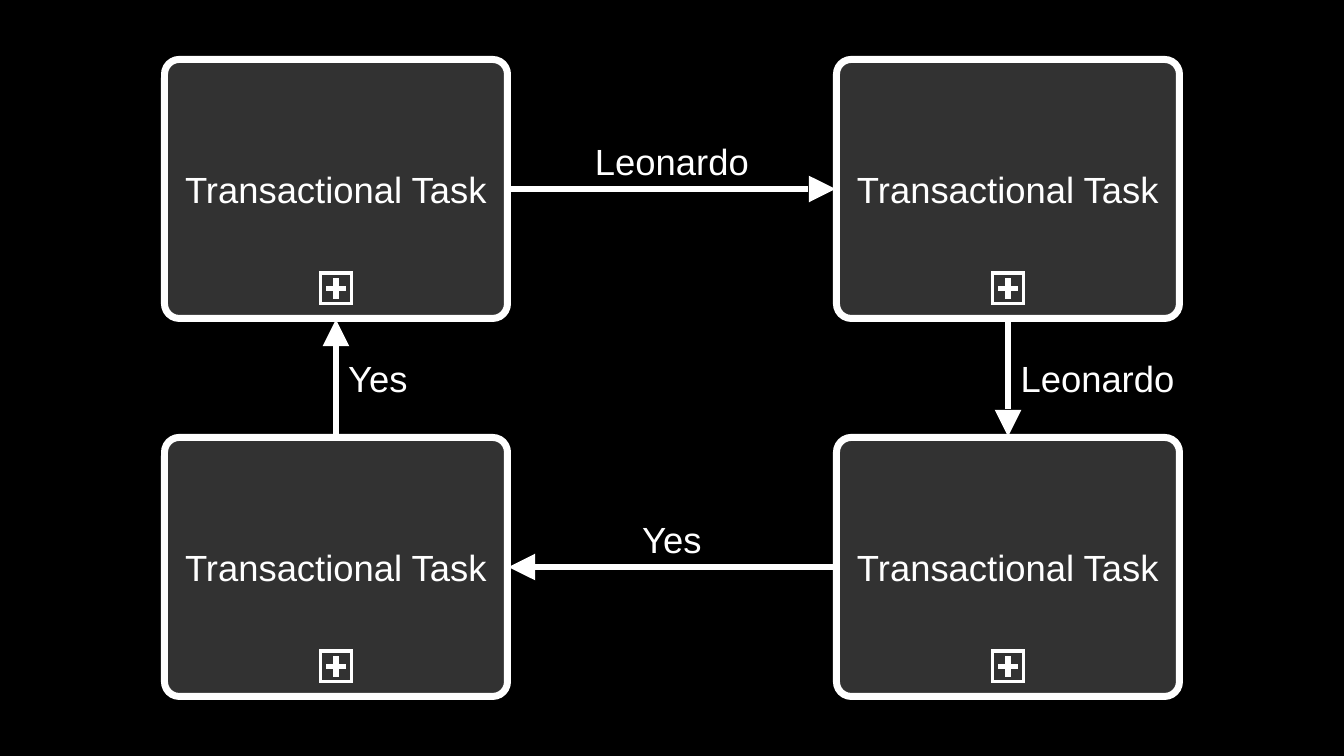
from lxml import etree
from pptx import Presentation
from pptx.dml.color import RGBColor
from pptx.enum import shapes, text
from pptx.oxml import ns
from pptx.util import Pt

COLORS = {"back": "000000", "task": "323232", "ink": "FFFFFF"}
TASK_W, TASK_H = 245, 185
COLS, ROWS = (117.5, 597.5), (42.5, 312.5)
HEAD, TIP_GAP, LINE_GAP = 15, 3.5, 20
TOP, LEFT, BOTTOM, RIGHT = range(4)
LABEL_H = 34.5


def color(name):
    return RGBColor.from_string(COLORS[name])


def write(sp, words):
    tf = sp.text_frame
    tf.text = words
    tf.vertical_anchor = text.MSO_ANCHOR.MIDDLE
    tf.margin_left = tf.margin_right = Pt(10)
    tf.margin_top = tf.margin_bottom = 0
    p = tf.paragraphs[0]
    p.alignment = text.PP_ALIGN.CENTER
    r = p.runs[0]
    r.font.name, r.font.size = "Arial", Pt(26)
    r.font.color.rgb = color("ink")
    return tf


def add_shape(s, kind, x, y, w, h, fill, line):
    sp = s.shapes.add_shape(kind, Pt(x), Pt(y), Pt(w), Pt(h))
    sp.shadow.inherit = False
    if fill:
        sp.fill.solid()
        sp.fill.fore_color.rgb = color(fill)
    else:
        sp.fill.background()
    sp.line.color.rgb = color("ink")
    sp.line.width = Pt(line)
    ln = sp._element.spPr.find(ns.qn("a:ln"))
    etree.SubElement(ln, ns.qn("a:miter")).set("lim", "800000")
    return sp


def add_centered(s, kind, cx, cy, size, fill):
    return add_shape(s, kind, cx - size / 2, cy - size / 2, size, size, fill, 2.5)


def add_task(s, x, y, w, h):
    task = add_shape(s, shapes.MSO_SHAPE.ROUNDED_RECTANGLE, x, y, w, h, "task", 5)
    task.adjustments[0] = 0.057
    write(task, "Transactional Task").word_wrap = True
    cx, cy = x + w / 2, y + h - 21.5
    add_centered(s, shapes.MSO_SHAPE.RECTANGLE, cx, cy, 22, None)
    plus = add_centered(s, shapes.MSO_SHAPE.CROSS, cx, cy, 12, "ink")
    plus.adjustments[0] = 0.45
    return task


def side_point(sp, side):
    x, y, w, h = (v.pt for v in (sp.left, sp.top, sp.width, sp.height))
    return {TOP: (x + w / 2, y), LEFT: (x, y + h / 2),
            BOTTOM: (x + w / 2, y + h), RIGHT: (x + w, y + h / 2)}[side]


def add_flow(s, source, side, target, words, label_w):
    x1, y1 = side_point(source, side)
    x2, y2 = side_point(target, (side + 2) % 4)
    dx, dy = {TOP: (0, -1), LEFT: (-1, 0), BOTTOM: (0, 1), RIGHT: (1, 0)}[side]

    line = s.shapes.add_connector(
        shapes.MSO_CONNECTOR.STRAIGHT, Pt(x1), Pt(y1),
        Pt(x2 - dx * LINE_GAP), Pt(y2 - dy * LINE_GAP))
    line.begin_connect(source, side)
    line.line.color.rgb = color("ink")
    line.line.width = Pt(3.75)
    etree.SubElement(line._element.spPr, ns.qn("a:effectLst"))

    reach = TIP_GAP + HEAD / 2
    head = add_centered(s, shapes.MSO_SHAPE.ISOSCELES_TRIANGLE,
                        x2 - dx * reach, y2 - dy * reach, HEAD, "ink")
    head.rotation = {TOP: 0, RIGHT: 90, BOTTOM: 180, LEFT: 270}[side]

    cx = (x1 + x2) / 2 + (label_w / 2 - 3) * abs(dy)
    cy = (y1 + y2) / 2 - 20 * abs(dx)
    label = s.shapes.add_textbox(Pt(cx - label_w / 2), Pt(cy - LABEL_H / 2),
                                 Pt(label_w), Pt(LABEL_H))
    write(label, words).word_wrap = False


def add_cycle(s):
    corners = [(0, 0), (1, 0), (1, 1), (0, 1)]
    tasks = [add_task(s, COLS[c], ROWS[r], TASK_W, TASK_H) for c, r in corners]
    flows = [(RIGHT, "Leonardo", 134), (BOTTOM, "Leonardo", 134),
             (LEFT, "Yes", 66), (TOP, "Yes", 66)]
    for i, (side, words, label_w) in enumerate(flows):
        add_flow(s, tasks[i], side, tasks[(i + 1) % 4], words, label_w)


def main():
    prs = Presentation()
    prs.slide_width, prs.slide_height = Pt(960), Pt(540)
    s = prs.slides.add_slide(prs.slide_layouts[6])
    s.background.fill.solid()
    s.background.fill.fore_color.rgb = color("back")
    add_cycle(s)
    prs.save("out.pptx")


if __name__ == "__main__":
    main()
